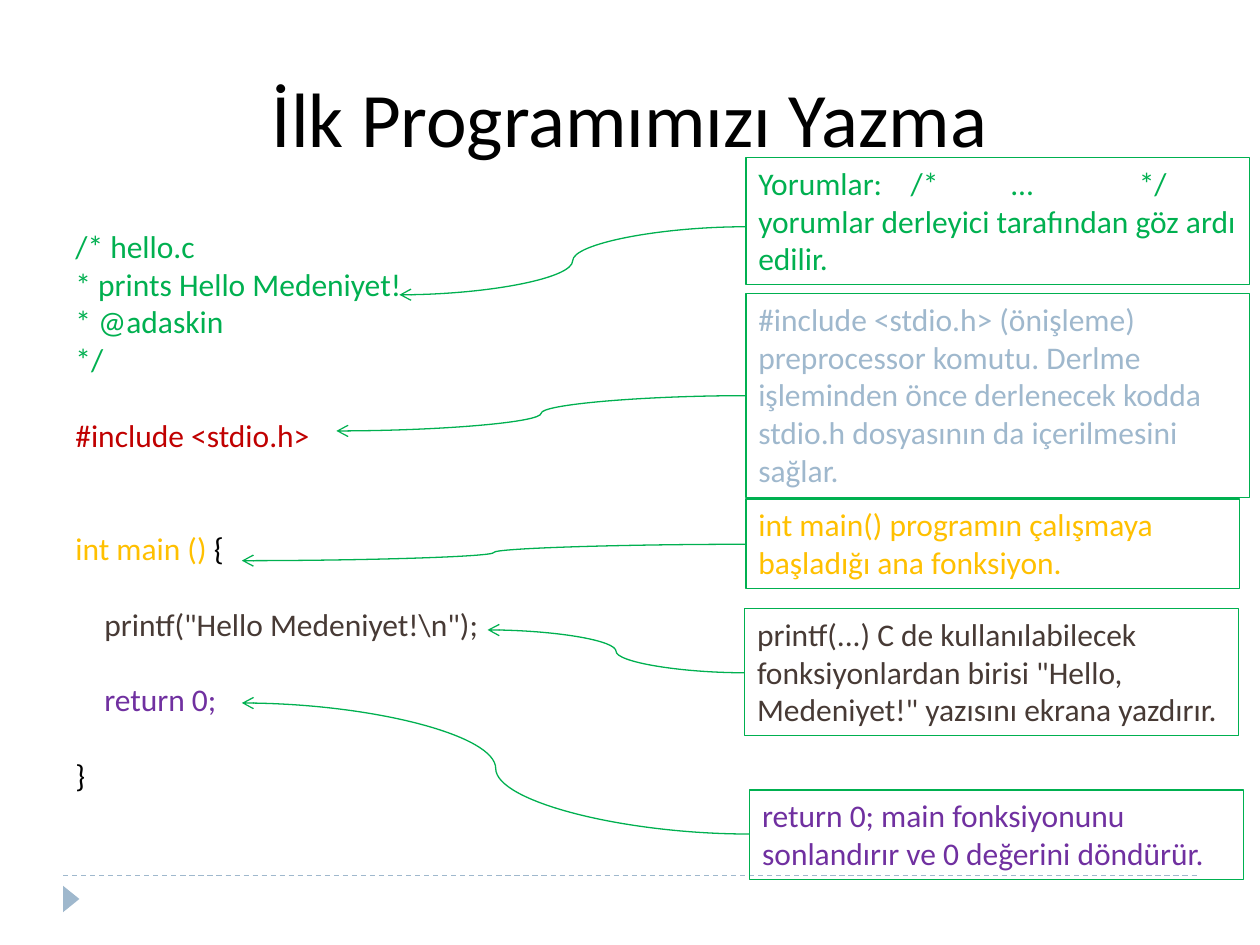
from dataclasses import dataclass

from lxml import etree
from pptx import Presentation
from pptx.dml.color import RGBColor
from pptx.enum.dml import MSO_LINE
from pptx.enum.shapes import MSO_CONNECTOR, MSO_SHAPE
from pptx.enum.text import MSO_ANCHOR, MSO_AUTO_SIZE, PP_ALIGN
from pptx.oxml.ns import qn
from pptx.util import Inches, Pt

CURVE, STRAIGHT = MSO_CONNECTOR.CURVE, MSO_CONNECTOR.STRAIGHT
RECTANGLE, TRIANGLE = MSO_SHAPE.RECTANGLE, MSO_SHAPE.ISOSCELES_TRIANGLE
DASH = MSO_LINE.DASH
MIDDLE, TOP = MSO_ANCHOR.MIDDLE, MSO_ANCHOR.TOP
FIT_SHAPE = MSO_AUTO_SIZE.SHAPE_TO_FIT_TEXT
CENTER, LEFT = PP_ALIGN.CENTER, PP_ALIGN.LEFT

BLACK = RGBColor(0x00, 0x00, 0x00)
GREEN = RGBColor(0x00, 0xB0, 0x50)
RED = RGBColor(0xC0, 0x00, 0x00)
AMBER = RGBColor(0xFF, 0xC0, 0x00)
BROWN = RGBColor(0x47, 0x3A, 0x35)
PURPLE = RGBColor(0x70, 0x30, 0xA0)
PALE_BLUE = RGBColor(0x9F, 0xB8, 0xCD)

FONT = "Calibri"
BODY_SIZE = 18
LINE_PITCH = 21.6
CODE_INDENT = 0.23
COMMENT_TABS = (1.21, 2.0, 3.02)


@dataclass
class CodeLine:
    spans: list[tuple[str, RGBColor]]
    gap_lines: int = 0
    indent: float = 0


@dataclass
class Note:
    text: str
    color: RGBColor
    left: float
    top: float
    width: float
    height: float
    arrow_start_y: float
    arrow_end: tuple[float, float]
    tabs: tuple[float, ...] = ()


CODE = [
    CodeLine([("/* hello.c", GREEN)]),
    CodeLine([("* prints Hello Medeniyet!", GREEN)]),
    CodeLine([("* @adaskin", GREEN)]),
    CodeLine([("*/", GREEN)]),
    CodeLine([("#include <stdio.h>", RED)], 1),
    CodeLine([("int main ()", AMBER), (" {", BLACK)], 2),
    CodeLine([('printf("Hello Medeniyet!\\n");', BROWN)], 1, CODE_INDENT),
    CodeLine([("return 0;", PURPLE)], 1, CODE_INDENT),
    CodeLine([("}", BLACK)], 1),
]

NOTES = [
    Note("Yorumlar:\t/*\t...\t*/ yorumlar derleyici tarafından göz ardı edilir.",
         GREEN, 5.92, 1.25, 4, 1.01, 1.8, (3.17, 2.34), COMMENT_TABS),
    Note("#include <stdio.h> (önişleme) preprocessor komutu. Derlme işleminden "
         "önce derlenecek kodda stdio.h dosyasının da içerilmesini sağlar.",
         PALE_BLUE, 5.92, 2.33, 4, 1.62, 3.14, (2.67, 3.42)),
    Note("int main() programın çalışmaya başladığı ana fonksiyon.",
         AMBER, 5.92, 3.96, 3.92, 0.71, 4.32, (1.92, 4.45)),
    Note('printf(...) C de kullanılabilecek fonksiyonlardan birisi "Hello, '
         'Medeniyet!" yazısını ekrana yazdırır.',
         BROWN, 5.91, 4.83, 3.92, 1.01, 5.34, (3.87, 5)),
    Note("return 0; main fonksiyonunu sonlandırır ve 0 değerini döndürür.",
         PURPLE, 5.95, 6.27, 3.92, 0.71, 6.62, (1.92, 5.58)),
]


def style_span(span, color: RGBColor, size: float = BODY_SIZE) -> None:
    span.font.name = FONT
    span.font.size = Pt(size)
    span.font.color.rgb = color


def add_line(page, kind, start: tuple[float, float], end: tuple[float, float],
             color: RGBColor):
    line = page.shapes.add_connector(kind, *map(Inches, start + end))
    line.line.color.rgb = color
    line.line.width = Pt(0.75)
    etree.SubElement(line._element.spPr, qn("a:effectLst"))
    return line


def add_footer(page) -> None:
    rule = add_line(page, STRAIGHT, (0.5, 6.95), (9.5, 6.95), PALE_BLUE)
    rule.line.dash_style = DASH
    marker = page.shapes.add_shape(TRIANGLE, Inches(0.46), Inches(7.07),
                                   Inches(0.21), Inches(0.13))
    marker.rotation = 90
    marker.shadow.inherit = False
    marker.fill.solid()
    marker.fill.fore_color.rgb = PALE_BLUE
    marker.line.fill.background()


def add_title(page, text: str) -> None:
    box = page.shapes.add_textbox(Inches(0.5), Inches(0.3), Inches(9), Inches(1.25))
    frame = box.text_frame
    frame.word_wrap = True
    frame.vertical_anchor = MIDDLE
    frame.text = text
    para = frame.paragraphs[0]
    para.alignment = CENTER
    style_span(para.runs[0], BLACK, 44)


def add_code(page, lines: list[CodeLine]) -> None:
    box = page.shapes.add_textbox(Inches(0.5), Inches(1.75), Inches(9), Inches(4.95))
    frame = box.text_frame
    frame.word_wrap = True
    for index, line in enumerate(lines):
        para = frame.add_paragraph() if index else frame.paragraphs[0]
        para.space_before = Pt(line.gap_lines * LINE_PITCH)
        if line.indent:
            para._p.get_or_add_pPr().set("marL", str(Inches(line.indent)))
        for text, color in line.spans:
            span = para.add_run()
            span.text = text
            style_span(span, color)


def add_note(page, note: Note) -> None:
    box = page.shapes.add_shape(RECTANGLE, Inches(note.left), Inches(note.top),
                                Inches(note.width), Inches(note.height))
    box.shadow.inherit = False
    box.fill.background()
    box.line.color.rgb = GREEN
    box.line.width = Pt(0.75)
    frame = box.text_frame
    frame.word_wrap = True
    frame.auto_size = FIT_SHAPE
    frame.vertical_anchor = TOP
    frame.text = note.text
    para = frame.paragraphs[0]
    para.alignment = LEFT
    if note.tabs:
        tab_list = etree.SubElement(para._p.get_or_add_pPr(), qn("a:tabLst"))
        for position in note.tabs:
            etree.SubElement(tab_list, qn("a:tab"),
                             pos=str(Inches(position)), algn="l")
    for span in para.runs:
        style_span(span, note.color)
    arrow = add_line(page, CURVE, (note.left, note.arrow_start_y),
                     note.arrow_end, GREEN)
    etree.SubElement(arrow.line._get_or_add_ln(), qn("a:tailEnd"), type="arrow")


deck = Presentation()
deck.slide_width = Inches(10)
deck.slide_height = Inches(7.5)
page = deck.slides.add_slide(deck.slide_layouts[6])
add_footer(page)
add_title(page, "İlk Programımızı Yazma")
add_code(page, CODE)
for note in NOTES:
    add_note(page, note)
deck.save("out.pptx")
